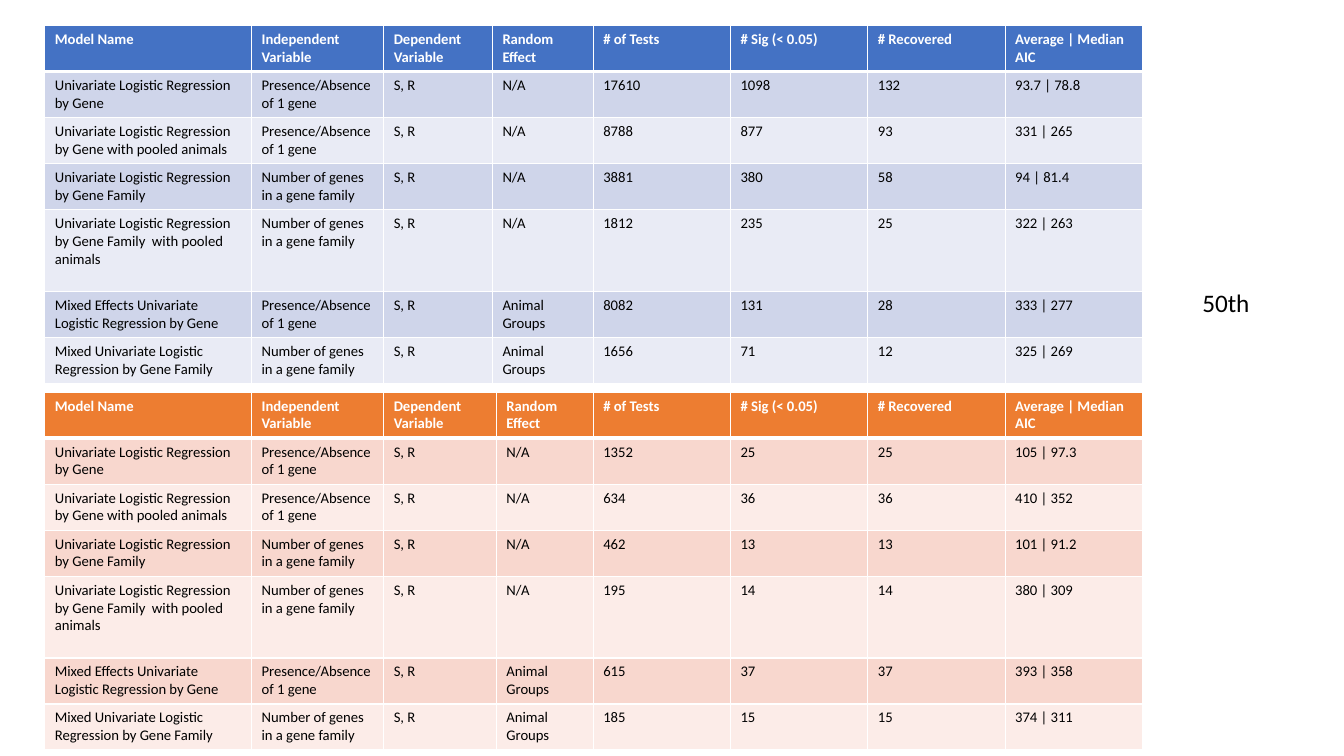
"""Build a slide with two tables of regression model results."""
from lxml import etree
from pptx import Presentation
from pptx.dml.color import RGBColor
from pptx.enum.text import MSO_AUTO_SIZE
from pptx.oxml.ns import qn
from pptx.util import Cm, Pt

GROW = MSO_AUTO_SIZE.SHAPE_TO_FIT_TEXT
FONT = "Calibri"
WHITE, BLACK = "FFFFFF", "000000"

HEADINGS = ("Model Name", "Independent Variable", "Dependent Variable", "Random Effect",
            "# of Tests", "# Sig (< 0.05)", "# Recovered", "Average | Median AIC")
PRESENCE = "Presence/Absence of 1 gene"
COUNT = "Number of genes in a gene family"
MODELS = (
    ("Univariate Logistic Regression by Gene", PRESENCE, "S, R", "N/A"),
    ("Univariate Logistic Regression by Gene with pooled animals", PRESENCE, "S, R", "N/A"),
    ("Univariate Logistic Regression by Gene Family", COUNT, "S, R", "N/A"),
    ("Univariate Logistic Regression by Gene Family  with pooled animals", COUNT, "S, R", "N/A"),
    ("Mixed Effects Univariate Logistic Regression by Gene", PRESENCE, "S, R", "Animal Groups"),
    ("Mixed Univariate Logistic Regression by Gene Family", COUNT, "S, R", "Animal Groups"),
)
PANELS = (
    {"top": 0.64, "dependent": 2.74, "random": 2.54,
     "heading": "4472C4", "bands": ("CFD5EA", "E9EBF5"),
     "results": (("17610", "1098", "132", "93.7 | 78.8"),
                 ("8788", "877", "93", "331 | 265"),
                 ("3881", "380", "58", "94 | 81.4"),
                 ("1812", "235", "25", "322 | 263"),
                 ("8082", "131", "28", "333 | 277"),
                 ("1656", "71", "12", "325 | 269"))},
    {"top": 9.88, "dependent": 2.84, "random": 2.44,
     "heading": "ED7D31", "bands": ("F8D7CE", "FCECE8"),
     "results": (("1352", "25", "25", "105 | 97.3"),
                 ("634", "36", "36", "410 | 352"),
                 ("462", "13", "13", "101 | 91.2"),
                 ("195", "14", "14", "380 | 309"),
                 ("615", "37", "37", "393 | 358"),
                 ("185", "15", "15", "374 | 311"))},
)
PERCENTILE = "50th"

TABLE_LEFT = 1.13
RESULT_WIDTH = 3.46
ROW_HEIGHTS = (1.16, 1.16, 1.16, 1.16, 2.06, 1.16, 1.16)


def color(hex_code):
    return RGBColor.from_string(hex_code)


def write_text(frame, text, size=10.5, ink=BLACK, bold=False):
    run = frame.paragraphs[0].add_run()
    run.text = text
    run.font.name = FONT
    run.font.size = Pt(size)
    run.font.bold = bold
    run.font.color.rgb = color(ink)


def add_borders(cell, top=1, bottom=1):
    properties = cell._tc.get_or_add_tcPr()
    widths = {"a:lnL": 1, "a:lnR": 1, "a:lnT": top, "a:lnB": bottom}
    for position, (tag, width) in enumerate(widths.items()):
        line = etree.Element(qn(tag), w=str(Pt(width)))
        fill = etree.SubElement(line, qn("a:solidFill"))
        etree.SubElement(fill, qn("a:srgbClr"), val=WHITE)
        properties.insert(position, line)


def add_panel(slide, panel):
    rows = [HEADINGS] + [model + result for model, result in zip(MODELS, panel["results"])]
    widths = [5.21, 3.33, panel["dependent"], panel["random"]] + [RESULT_WIDTH] * 4
    table = slide.shapes.add_table(
        len(rows), len(widths), Cm(TABLE_LEFT), Cm(panel["top"]),
        Cm(sum(widths)), Cm(sum(ROW_HEIGHTS))).table
    for column, width in zip(table.columns, widths):
        column.width = Cm(width)
    for row_index, (texts, height) in enumerate(zip(rows, ROW_HEIGHTS)):
        table.rows[row_index].height = Cm(height)
        is_heading = row_index == 0
        shade = panel["heading"] if is_heading else panel["bands"][(row_index - 1) % 2]
        for column_index, text in enumerate(texts):
            cell = table.cell(row_index, column_index)
            cell.fill.solid()
            cell.fill.fore_color.rgb = color(shade)
            add_borders(cell, top=3 if row_index == 1 else 1, bottom=3 if is_heading else 1)
            write_text(cell.text_frame, text, ink=WHITE if is_heading else BLACK, bold=is_heading)


def main():
    deck = Presentation()
    deck.slide_width, deck.slide_height = Cm(33.87), Cm(19.05)
    slide = deck.slides.add_slide(deck.slide_layouts[6])
    for panel in PANELS:
        add_panel(slide, panel)
    percentile = slide.shapes.add_textbox(Cm(30.05), Cm(7.11), Cm(1.73), Cm(1.02)).text_frame
    percentile.word_wrap = False
    percentile.auto_size = GROW
    write_text(percentile, PERCENTILE, size=18)
    deck.save("out.pptx")


if __name__ == "__main__":
    main()
